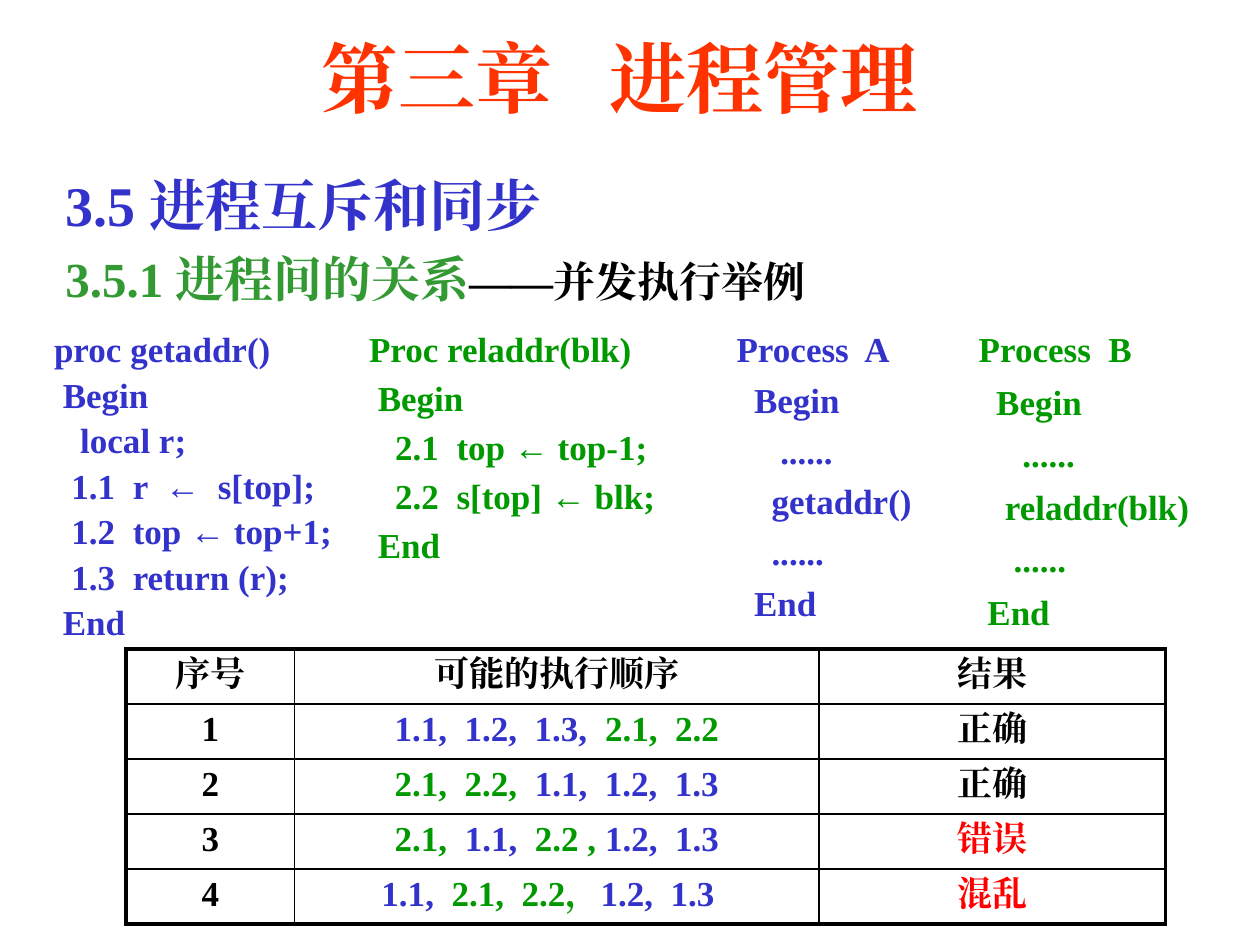
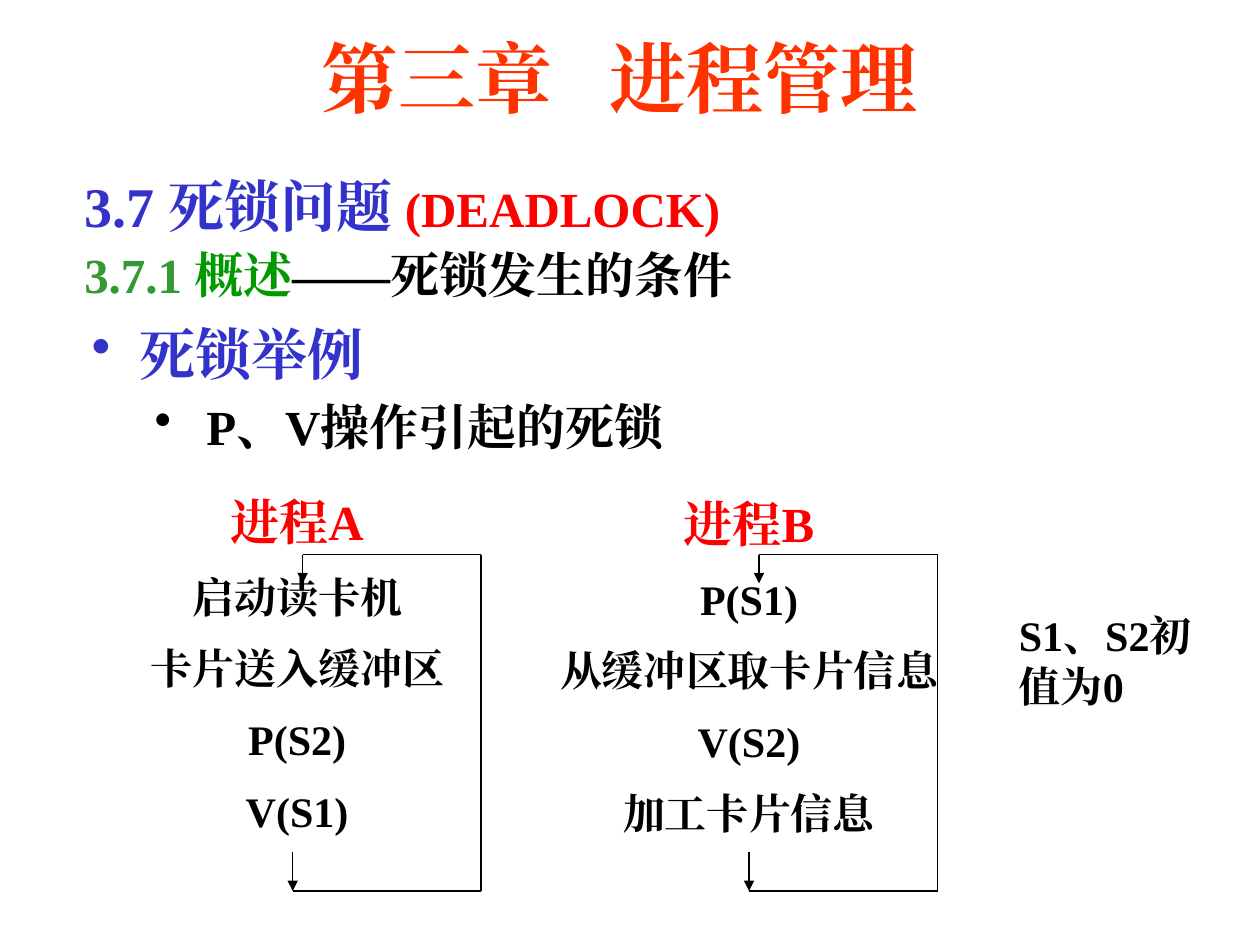
from lxml.etree import SubElement
from pptx import Presentation
from pptx.dml.color import RGBColor
from pptx.enum.shapes import MSO_CONNECTOR
from pptx.enum.text import MSO_ANCHOR, PP_ALIGN
from pptx.oxml import parse_xml
from pptx.oxml.ns import nsdecls, qn
from pptx.util import Cm, Pt

COLORS = {
    "title": "FF3300", "blue": "3333CC", "section": "339933",
    "green": "009900", "red": "FF0000", "black": "000000",
}
FONT = "Times New Roman"
SPACE_CM = 0.176  # width of one space in the 20 point listings


# ---- Text ----
def color_of(name):
    return RGBColor.from_string(COLORS[name])


def add_run(paragraph, text, size, color):
    run = paragraph.add_run()
    run.text = text
    run.font.size = Pt(size)
    run.font.bold = True
    run.font.name = FONT
    run.font.color.rgb = color_of(color)
    east_asian = SubElement(run.font._element, qn("a:ea"))
    east_asian.set("typeface", FONT)


def write_paragraph(paragraph, runs, size=20, color="black", align=PP_ALIGN.LEFT,
                    before=0.0, line=None, left=0, hang=0, bullet=None):
    """Runs are a string or (text, color[, size]); before is a share of the size."""
    if isinstance(runs, str):
        runs = [(runs, color)]
    paragraph.alignment = align
    paragraph.space_before = Pt(size * before)
    if line:
        paragraph.line_spacing = line
    properties = paragraph._p.get_or_add_pPr()
    properties.set("marL", str(Cm(left)))
    properties.set("indent", str(Cm(-hang)))
    if bullet:
        SubElement(properties, qn("a:buChar")).set("char", bullet)
    for text, run_color, *run_size in runs:
        add_run(paragraph, text, run_size[0] if run_size else size, run_color)


def write_text(frame, paragraphs, **text_format):
    """Each paragraph is its runs, or a dict of runs and format overrides."""
    for index, content in enumerate(paragraphs):
        paragraph = frame.add_paragraph() if index else frame.paragraphs[0]
        own = content if isinstance(content, dict) else {"runs": content}
        write_paragraph(paragraph, **{**text_format, **own})


def add_text(slide, box, paragraphs, anchor=MSO_ANCHOR.TOP, **text_format):
    shape = slide.shapes.add_textbox(*map(Cm, box))
    shape.text_frame.word_wrap = True
    shape.text_frame.vertical_anchor = anchor
    write_text(shape.text_frame, paragraphs, **text_format)


def add_title(slide):
    add_text(slide, (2.97, 0.18, 19.05, 2.74), ["第三章   进程管理"], size=44,
             color="title", align=PP_ALIGN.CENTER, anchor=MSO_ANCHOR.MIDDLE)


def add_listing(slide, box, lines, color, before):
    """Lines are (leading spaces, text)."""
    paragraphs = [dict(runs=text, left=spaces * SPACE_CM) for spaces, text in lines]
    add_text(slide, box, paragraphs, color=color, before=before)


# ---- Lines ----
def add_line(slide, start, end, arrow=False):
    connector = slide.shapes.add_connector(
        MSO_CONNECTOR.STRAIGHT, *map(Cm, start + end))
    connector.line.color.rgb = color_of("black")
    connector.line.width = Pt(0.75)
    if arrow:
        SubElement(connector.line._get_or_add_ln(), qn("a:tailEnd")).set("type", "triangle")
    SubElement(connector._element.spPr, qn("a:effectLst"))


def add_loop(slide, entry, leave, right):
    """Loop from the last step of a process round to its first step."""
    top, bottom = 11.18, 17.96
    add_line(slide, (entry, top), (entry, 11.76), arrow=True)
    add_line(slide, (entry, top), (right, top))
    add_line(slide, (right, top), (right, bottom))
    add_line(slide, (leave, 17.17), (leave, bottom), arrow=True)
    add_line(slide, (leave, bottom), (right, bottom))


# ---- Table ----
def set_borders(cell, widths):
    properties = cell._tc.get_or_add_tcPr()
    for index, (side, width) in enumerate(widths.items()):
        properties.insert(index, parse_xml(
            f'<a:ln{side} {nsdecls("a")} w="{Pt(width)}"><a:solidFill>'
            f'<a:srgbClr val="{COLORS["black"]}"/></a:solidFill></a:ln{side}>'))


def add_grid(slide, left, top, column_widths, row_height, rows):
    last_row, last_column = len(rows) - 1, len(column_widths) - 1
    frame = slide.shapes.add_table(
        len(rows), len(column_widths), Cm(left), Cm(top),
        Cm(sum(column_widths)), Cm(row_height * len(rows)))
    table = frame.table
    table.first_row = table.horz_banding = False
    for column, width in zip(table.columns, column_widths):
        column.width = Cm(width)
    for r, row in enumerate(rows):
        table.rows[r].height = Cm(row_height)
        for c, content in enumerate(row):
            cell = table.cell(r, c)
            cell.fill.background()
            write_text(cell.text_frame, [content], align=PP_ALIGN.CENTER, before=0.2)
            outer = {"L": c == 0, "R": c == last_column, "T": r == 0, "B": r == last_row}
            set_borders(cell, {side: 2.25 if edge else 1 for side, edge in outer.items()})


# ---- Slides ----
def build_concurrency(slide):
    add_text(slide, (1.07, 3.18, 22.86, 2.97), [
        dict(runs="3.5 进程互斥和同步", size=32, color="blue"),
        dict(runs=[("3.5.1 进程间的关系", "section"), ("——并发执行举例", "black", 24)], size=28),
    ], before=0.1, line=1.1)

    add_listing(slide, (0.84, 6.48, 6.78, 6.68), [
        (0, "proc getaddr()"), (1, "Begin"), (3, "local r;"),
        (2, "1.1  r  ←  s[top];"), (2, "1.2  top ← top+1;"),
        (2, "1.3  return (r);"), (1, "End")], "blue", 0.1)
    add_listing(slide, (7.19, 6.48, 7.62, 5.16), [
        (0, "Proc reladdr(blk)"), (1, "Begin"), (3, "2.1  top ← top-1;"),
        (3, "2.2  s[top] ← blk;"), (1, "End")], "green", 0.2)
    add_listing(slide, (14.6, 6.48, 4.45, 6.4), [
        (0, "Process  A"), (2, "Begin"), (5, "......"),
        (4, "getaddr()"), (4, "......"), (2, "End")], "blue", 0.25)
    add_listing(slide, (19.48, 6.48, 5.08, 6.6), [
        (0, "Process  B"), (2, "Begin"), (5, "......"),
        (3, "reladdr(blk)"), (4, "......"), (1, "End")], "green", 0.3)

    add_grid(slide, 2.54, 13.08, (3.4, 10.57, 6.99), 1.11, [
        ("序号", "可能的执行顺序", "结果"),
        ("1", [("1.1,  1.2,  1.3,  ", "blue"), ("2.1,  2.2", "green")], "正确"),
        ("2", [("2.1,  2.2,", "green"), ("  1.1,  1.2,  1.3", "blue")], "正确"),
        ("3", [("2.1,  ", "green"), ("1.1,  ", "blue"), ("2.2 , ", "green"),
               ("1.2,  1.3", "blue")], [("错误", "red")]),
        ("4", [("1.1,  ", "blue"), ("2.1,  2.2，", "green"), ("1.2,  1.3  ", "blue")],
         [("混乱", "red")]),
    ])


def build_deadlock(slide):
    add_text(slide, (1.6, 6.32, 22.71, 3.43), [
        dict(runs="死锁举例", size=32, color="blue", left=0.96, hang=0.96),
        dict(runs="P、V操作引起的死锁", size=28, left=2.31, hang=1.04),
    ], before=0.2, bullet="•")
    add_text(slide, (1.45, 3.2, 22.71, 3.05), [
        [("3.7 死锁问题", "blue", 32), (" ", "blue"), ("(DEADLOCK)", "red")],
        [("3.7.1 ", "section"), ("概述", "green"), ("——死锁发生的条件", "black")],
    ], size=28, line=1.1)

    processes = [
        ((2.69, 9.78, 6.6, 7.52), "进程A", ["启动读卡机", "卡片送入缓冲区", "P(S2)", "V(S1)"]),
        ((11.0, 9.82, 8.2, 7.52), "进程B", ["P(S1)", "从缓冲区取卡片信息", "V(S2)", "加工卡片信息"]),
    ]
    for index, (box, name, steps) in enumerate(processes):
        heading = dict(runs=name, size=28, color="red")
        add_text(slide, box, [heading] + steps, size=24, align=PP_ALIGN.CENTER, before=0.5)
        offset = 9.2 * index
        add_loop(slide, entry=6.1 + offset, leave=5.9 + offset, right=9.7 + offset)

    add_text(slide, (20.29, 12.17, 3.99, 2.29), ["S1、S2初值为0"], size=24, before=0.5)


def main():
    presentation = Presentation()
    presentation.slide_width, presentation.slide_height = Cm(25.4), Cm(19.05)
    for build in (build_concurrency, build_deadlock):
        slide = presentation.slides.add_slide(presentation.slide_layouts[6])
        build(slide)
        add_title(slide)
    presentation.save("out.pptx")


if __name__ == "__main__":
    main()
